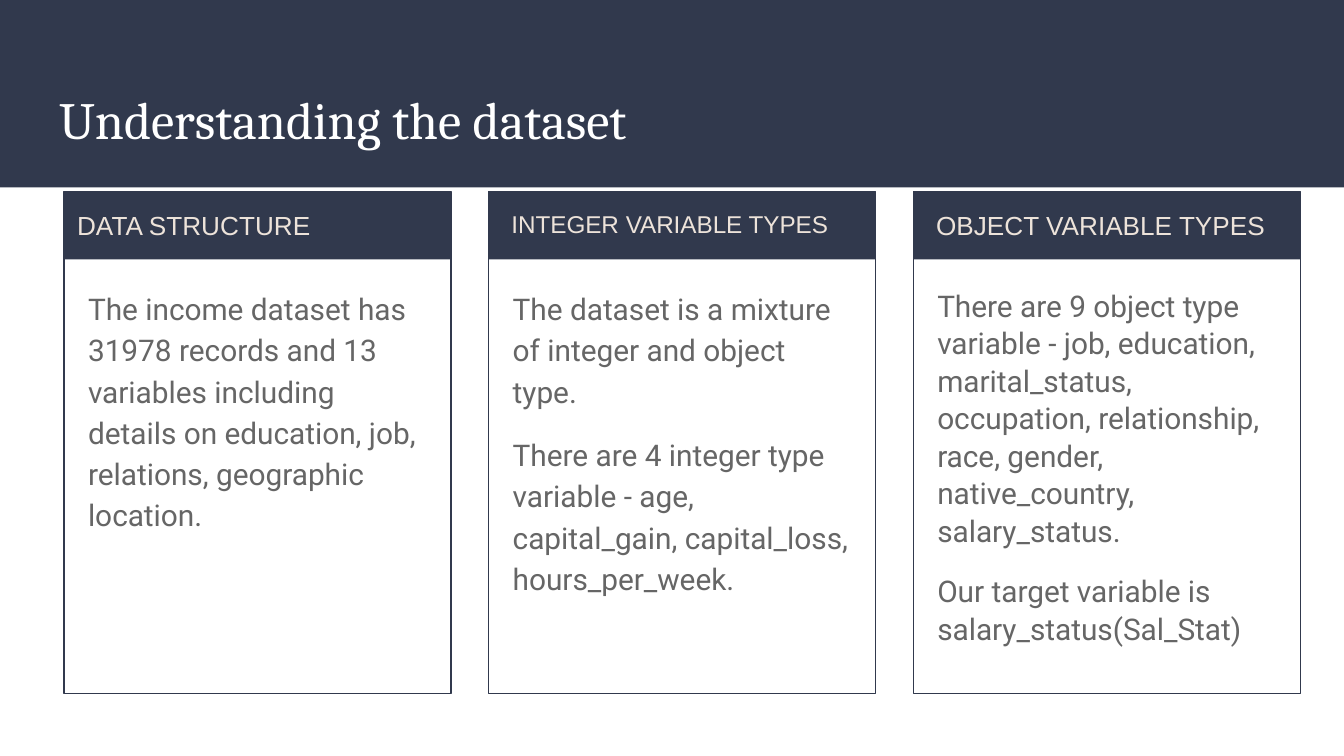
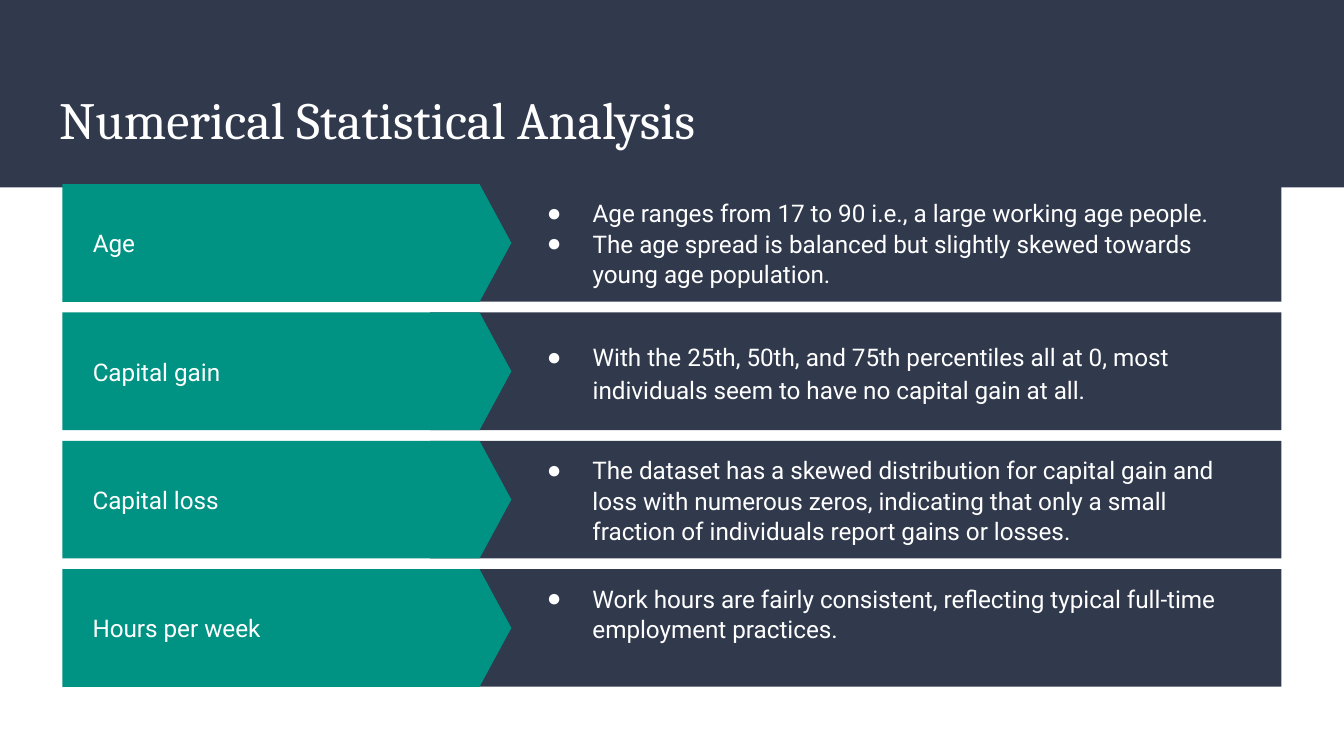
from collections import namedtuple

from lxml.etree import SubElement
from pptx import Presentation
from pptx.dml.color import RGBColor
from pptx.enum.shapes import MSO_SHAPE as Preset
from pptx.enum.text import MSO_ANCHOR as Anchor, MSO_AUTO_SIZE as AutoSize, PP_ALIGN as Align
from pptx.oxml.ns import qn
from pptx.util import Pt

PX = 4572
PAGE_WIDTH, PAGE_HEIGHT, MARGIN = 2000, 1125, 20
NAVY, TEAL, WHITE, CREAM, GREY = "31394D", "009384", "FFFFFF", "EDE3DA", "666666"

Box = namedtuple("Box", "left top width height")
Style = namedtuple("Style", "font size color spacing gap bullet", defaults=(1.0, 0, False))
Column = namedtuple("Column", "heading heading_size paragraphs spacing")
Row = namedtuple("Row", "label points spacing bottom", defaults=(1.05, MARGIN))

TITLE_STYLE = Style("Cambria", 28, WHITE)
LABEL_STYLE = Style("Roboto", 13, WHITE)

COLUMNS = [
    Column("DATA STRUCTURE", 14, [
        "The income dataset has 31978 records and 13 variables including details on "
        "education, job, relations, geographic location."], 1.15),
    Column("INTEGER VARIABLE TYPES", 12.95, [
        "The dataset is a mixture of integer and object type.",
        "There are 4 integer type variable - age, capital_gain, capital_loss, "
        "hours_per_week."], 1.15),
    Column("OBJECT VARIABLE TYPES", 14, [
        "There are 9 object type variable - job, education, marital_status, occupation, "
        "relationship, race, gender, native_country, salary_status.",
        "Our target variable is salary_status(Sal_Stat)"], 1.05),
]

ROWS = [
    Row("Age", [
        "Age ranges from 17 to 90 i.e., a large working age people.",
        "The age spread is balanced but slightly skewed towards young age population."]),
    Row("Capital gain", [
        "With the 25th, 50th, and 75th percentiles all at 0, most individuals seem to "
        "have no capital gain at all."], 1.15),
    Row("Capital loss", [
        "The dataset has a skewed distribution for capital gain and loss with numerous "
        "zeros, indicating that only a small fraction of individuals report gains or "
        "losses."]),
    Row("Hours per week", [
        "Work hours are fairly consistent, reflecting typical full-time employment "
        "practices."], bottom=65),
]


def rgb(color):
    return RGBColor.from_string(color)


def emu(box):
    return [length * PX for length in box]


def draw_shape(shapes, box, fill=None, line=None, preset=Preset.RECTANGLE):
    shape = shapes.add_shape(preset, *emu(box))
    shape.shadow.inherit = False
    if fill:
        shape.fill.solid()
        shape.fill.fore_color.rgb = rgb(fill)
    else:
        shape.fill.background()
    if line:
        shape.line.color.rgb = rgb(line)
        shape.line.width = Pt(0.75)
    else:
        shape.line.fill.background()
    return shape


def set_bullet(para, bullet, color):
    props = para._p.get_or_add_pPr()
    props.set("marL", str(100 * PX if bullet else 0))
    props.set("indent", str(-68 * PX if bullet else 0))
    if bullet:
        bullet_color = SubElement(props, qn("a:buClr"))
        SubElement(bullet_color, qn("a:srgbClr"), val=color)
        SubElement(props, qn("a:buFont"), typeface="Arial")
        SubElement(props, qn("a:buChar"), char="●")
    else:
        SubElement(props, qn("a:buNone"))


def write_text(shape, paragraphs, style, anchor=Anchor.TOP, bottom=MARGIN):
    frame = shape.text_frame
    frame.text = "\n".join(paragraphs)
    frame.word_wrap = True
    frame.auto_size = AutoSize.NONE
    frame.vertical_anchor = anchor
    frame.margin_left = frame.margin_right = frame.margin_top = MARGIN * PX
    frame.margin_bottom = bottom * PX
    for index, para in enumerate(frame.paragraphs):
        para.alignment = Align.LEFT
        para.line_spacing = style.spacing
        para.space_before = Pt(style.gap if index else 0)
        para.space_after = Pt(0)
        set_bullet(para, style.bullet, style.color)
        for span in para.runs:
            span.font.name = style.font
            span.font.size = Pt(style.size)
            span.font.bold = False
            span.font.color.rgb = rgb(style.color)


def place_text(page, bodies, box, *text):
    holder = next(bodies, None)
    if holder is None:
        holder = page.shapes.add_textbox(*emu(box))
    else:
        holder.left, holder.top, holder.width, holder.height = emu(box)
        page.shapes._spTree.append(holder.element)
    write_text(holder, *text)


def start_page(deck, title):
    page = deck.slides.add_slide(deck.slide_layouts.get_by_name("Comparison"))
    holder, *bodies = page.placeholders
    holder.left, holder.top, holder.width, holder.height = emu(Box(68, 110, 1864, 136))
    write_text(holder, [title], TITLE_STYLE)
    return page, iter(bodies)


def draw_column(page, bodies, box, column, heading_in_bar):
    frame = page.shapes.add_group_shape().shapes
    draw_shape(frame, box, line=NAVY)
    bar = draw_shape(frame, box._replace(height=101), NAVY)
    heading = Style("Arial", column.heading_size, CREAM, 1.0 if heading_in_bar else 1.15)
    if heading_in_bar:
        write_text(bar, [column.heading], heading, Anchor.MIDDLE)
    else:
        place_text(page, bodies, Box(box.left + 14, box.top, 546, 100), [column.heading], heading)
    place_text(page, bodies, Box(box.left + 16, box.top + 120, 542, 612),
               column.paragraphs, Style("Roboto", 16, GREY, column.spacing, 12))


def draw_row(page, bodies, box, row):
    frame = page.shapes.add_group_shape().shapes
    draw_shape(frame, Box(box.left + 547, box.top, box.width - 547, box.height), NAVY)
    arrow = draw_shape(frame, box._replace(width=668), TEAL, preset=Preset.PENTAGON)
    arrow.adjustments[0] = 0.27
    place_text(page, bodies, Box(box.left + 25, box.top, 530, box.height),
               [row.label], LABEL_STYLE, Anchor.MIDDLE)
    place_text(page, bodies, Box(box.left + 669, box.top, 1118, box.height), row.points,
               LABEL_STYLE._replace(spacing=row.spacing, bullet=True), Anchor.MIDDLE, row.bottom)


def build_dataset_page(deck):
    page, bodies = start_page(deck, "Understanding the dataset")
    for index, column in enumerate(COLUMNS):
        draw_column(page, bodies, Box(95 + 632 * index, 285, 576, 747), column, index == 0)
    return page


def build_statistics_page(deck):
    page, bodies = start_page(deck, "Numerical Statistical Analysis")
    for index, row in enumerate(ROWS):
        draw_row(page, bodies, Box(93, 274 + 191 * index, 1814, 175), row)


def add_master_band(deck, page):
    band = draw_shape(page.shapes, Box(0, 0, PAGE_WIDTH, 279), NAVY)
    deck.slide_master.shapes._spTree.insert(2, band.element)


def main():
    deck = Presentation()
    deck.slide_width, deck.slide_height = PAGE_WIDTH * PX, PAGE_HEIGHT * PX
    page = build_dataset_page(deck)
    add_master_band(deck, page)
    build_statistics_page(deck)
    deck.save("out.pptx")


if __name__ == "__main__":
    main()
